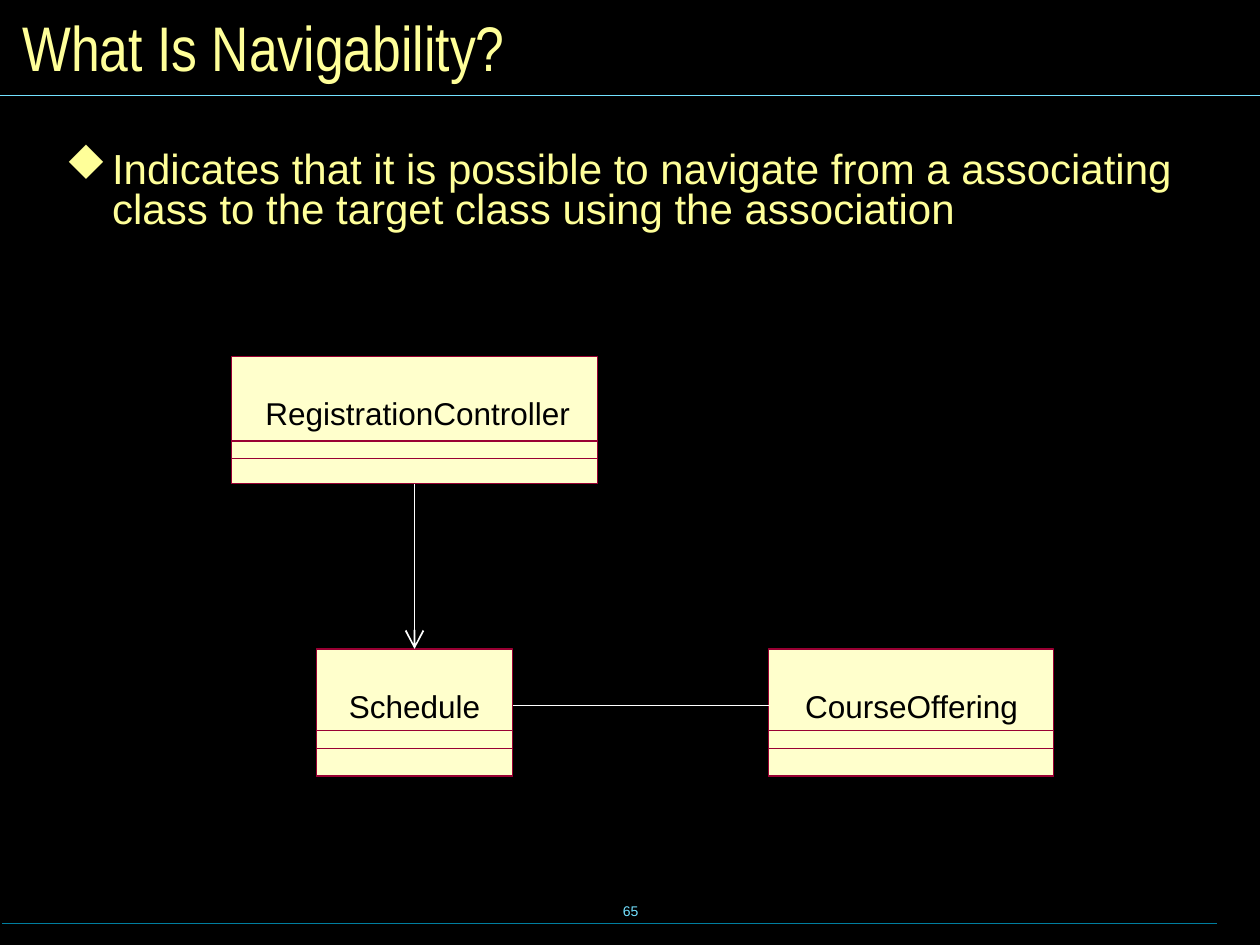
from dataclasses import dataclass
from typing import Optional

from lxml.etree import SubElement
from pptx import Presentation
from pptx.dml.color import RGBColor
from pptx.enum.shapes import MSO_CONNECTOR as CONN, MSO_SHAPE as SHAPE
from pptx.enum.text import MSO_ANCHOR as ANCHOR, PP_ALIGN as ALIGN
from pptx.oxml.ns import qn
from pptx.util import Inches, Pt


@dataclass(frozen=True)
class Theme:
    background: str = "000000"
    text: str = "FFFF99"
    rule_top: str = "73E1FF"
    rule_bottom: str = "007E9F"
    link: str = "FFFFFF"
    class_fill: str = "FFFFCC"
    class_line: str = "990033"
    class_text: str = "000000"
    font: str = "Arial"
    title_font: str = "Arial Narrow"
    bullet_font: str = "Wingdings"
    title_size: int = 36
    body_size: int = 24
    class_size: int = 18
    number_size: int = 8
    rule_width: float = 0.75
    link_width: float = 1


@dataclass(frozen=True)
class ClassBox:
    name: str
    left: float
    top: float
    width: float
    label_left: float
    label_width: float
    header: float = 0.65
    height: float = 1.01
    attributes: float = 0.14


THEME = Theme()
CONTROLLER = ClassBox("RegistrationController", 1.84, 2.83, 2.9, 1.88, 2.87, header=0.67)
OFFERING = ClassBox("CourseOffering", 6.1, 5.15, 2.26, 6.24, 1.99)
SCHEDULE = ClassBox("Schedule", 2.51, 5.15, 1.56, 2.59, 1.4)


def rgb(value: str) -> RGBColor:
    return RGBColor.from_string(value)


def add_text(slide, text: str, left: float, top: float, width: float, height: float, *,
             size: int, color: str = THEME.text, font: str = THEME.font,
             align=ALIGN.LEFT, anchor=ANCHOR.TOP, inset: tuple = (0.1, 0.05),
             wrap: bool = True, spacing: Optional[float] = None,
             bullet: Optional[str] = None, indent: float = 0):
    sp = slide.shapes.add_textbox(Inches(left), Inches(top), Inches(width), Inches(height))
    tf = sp.text_frame
    tf.word_wrap = wrap
    tf.vertical_anchor = anchor
    tf.margin_left = tf.margin_right = Inches(inset[0])
    tf.margin_top = tf.margin_bottom = Inches(inset[1])
    p = tf.paragraphs[0]
    if bullet:
        pPr = p._p.get_or_add_pPr()
        pPr.set("marL", str(Inches(indent)))
        pPr.set("indent", str(-Inches(indent)))
        SubElement(SubElement(pPr, qn("a:buClr")), qn("a:srgbClr"), val=color)
        SubElement(pPr, qn("a:buFont"), typeface=THEME.bullet_font, charset="2")
        SubElement(pPr, qn("a:buChar"), char=bullet)
    p.alignment = align
    if spacing:
        p.line_spacing = spacing
    r = p.add_run()
    r.text = text
    r.font.size = Pt(size)
    r.font.name = font
    r.font.color.rgb = rgb(color)
    return sp


def add_line(slide, x1: float, y1: float, x2: float, y2: float,
             color: str, width: float, arrow: bool = False):
    line = slide.shapes.add_connector(CONN.STRAIGHT, Inches(x1), Inches(y1),
                                      Inches(x2), Inches(y2))
    line.line.color.rgb = rgb(color)
    line.line.width = Pt(width)
    if arrow:
        SubElement(line.line._get_or_add_ln(), qn("a:tailEnd"),
                   type="arrow", w="lg", len="lg")
    SubElement(line._element.spPr, qn("a:effectLst"))
    return line


def add_rect(slide, left: float, top: float, width: float, height: float,
             fill: Optional[str] = None):
    sp = slide.shapes.add_shape(SHAPE.RECTANGLE, Inches(left), Inches(top),
                                Inches(width), Inches(height))
    sp.shadow.inherit = False
    if fill:
        sp.fill.solid()
        sp.fill.fore_color.rgb = rgb(fill)
    else:
        sp.fill.background()
    sp.line.color.rgb = rgb(THEME.class_line)
    sp.line.width = Pt(0)
    return sp


def add_class(slide, box: ClassBox):
    frame = add_rect(slide, box.left, box.top, box.width, box.height, THEME.class_fill)
    add_text(slide, box.name, box.label_left, box.top + 0.3, box.label_width, 0.3,
             size=THEME.class_size, color=THEME.class_text, align=ALIGN.CENTER,
             inset=(0, 0))
    for offset in (box.header, box.header + box.attributes):
        add_rect(slide, box.left, box.top + offset, box.width, box.height - offset)
    return frame


def main() -> None:
    """Build the navigability slide and save it."""
    prs = Presentation()
    prs.slide_width, prs.slide_height = Inches(10), Inches(7.5)
    slide = prs.slides.add_slide(prs.slide_layouts[6])
    slide.background.fill.solid()
    slide.background.fill.fore_color.rgb = rgb(THEME.background)

    add_text(slide, "65", 3.42, 6.98, 3.17, 0.5, size=THEME.number_size,
             color=THEME.rule_top, align=ALIGN.CENTER, anchor=ANCHOR.MIDDLE, wrap=False)
    add_line(slide, 0, 0.76, 10, 0.76, THEME.rule_top, THEME.rule_width)
    add_line(slide, 0.02, 7.33, 9.66, 7.33, THEME.rule_bottom, THEME.rule_width)
    add_text(slide, "What Is Navigability?", 0.08, 0.08, 9.84, 0.58,
             size=THEME.title_size, font=THEME.title_font, anchor=ANCHOR.MIDDLE)
    add_text(slide, "Indicates that it is possible to navigate from a associating "
             "class to the target class using the association",
             0.4, 1.15, 9.1, 2.97, size=THEME.body_size, inset=(0.12, 0.06),
             spacing=0.8, bullet="u", indent=0.37)

    controller, _, schedule = [add_class(slide, box)
                               for box in (CONTROLLER, OFFERING, SCHEDULE)]
    navigation = add_line(slide, 3.29, 3.84, 3.29, 5.15, THEME.link, THEME.link_width,
                          arrow=True)
    navigation.begin_connect(controller, 2)
    navigation.end_connect(schedule, 0)
    add_line(slide, SCHEDULE.left + SCHEDULE.width, 5.6, OFFERING.left, 5.6,
             THEME.link, THEME.link_width)

    prs.save("out.pptx")


if __name__ == "__main__":
    main()
